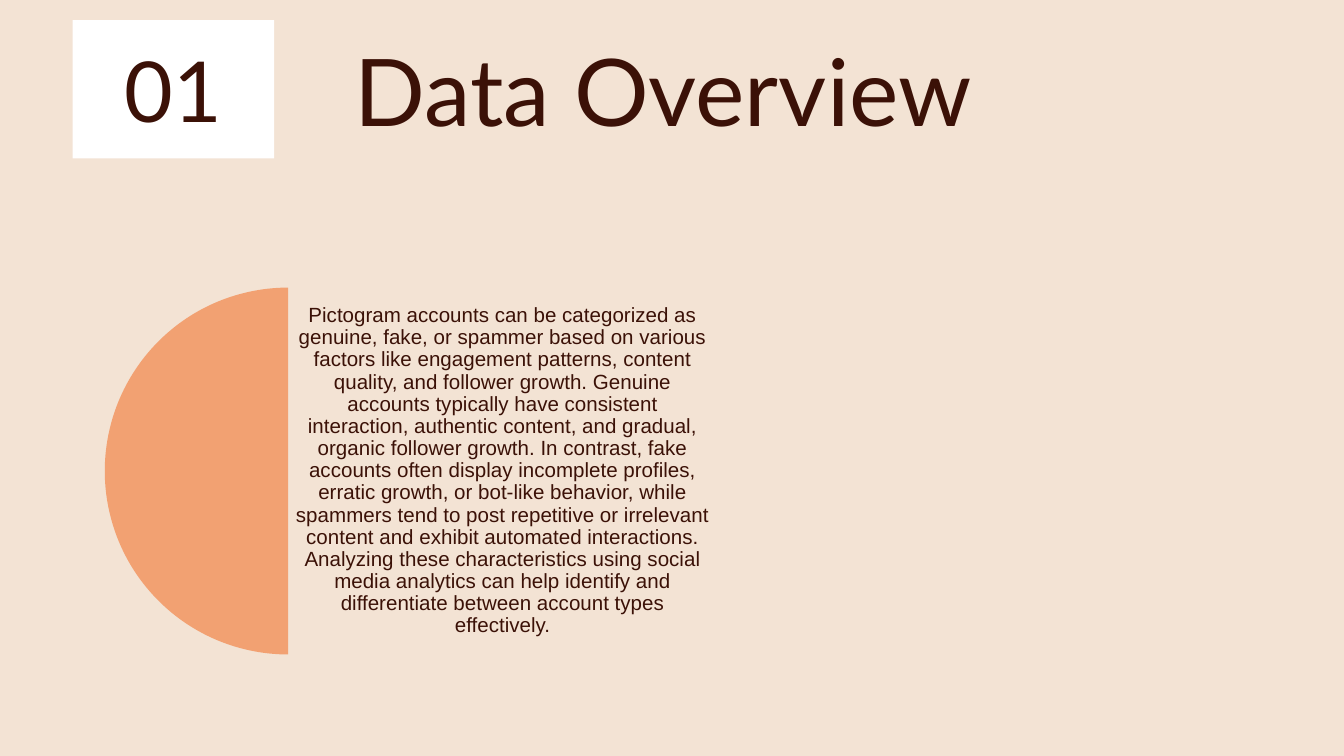
from typing import NamedTuple

from lxml.etree import SubElement
from pptx import Presentation
from pptx.dml.color import RGBColor
from pptx.enum.shapes import MSO_SHAPE
from pptx.enum.text import MSO_ANCHOR, MSO_AUTO_SIZE, PP_ALIGN
from pptx.oxml.ns import qn
from pptx.util import Inches, Pt

SAND = "F3E3D4"
BROWN = "3B1107"
BODY = (
    "Pictogram accounts can be categorized as genuine, fake, or spammer based on "
    "various factors like engagement patterns, content quality, and follower growth. "
    "Genuine accounts typically have consistent interaction, authentic content, and "
    "gradual, organic follower growth. In contrast, fake accounts often display "
    "incomplete profiles, erratic growth, or bot-like behavior, while spammers tend "
    "to post repetitive or irrelevant content and exhibit automated interactions. "
    "Analyzing these characteristics using social media analytics can help identify "
    "and differentiate between account types effectively."
)


class Box(NamedTuple):
    left: float
    top: float
    width: float
    height: float


class Style(NamedTuple):
    font: str
    size: float
    align: PP_ALIGN
    anchor: MSO_ANCHOR
    inset: float
    space: float = 1.0


HEAD = Style("Lato", 50, PP_ALIGN.LEFT, MSO_ANCHOR.BOTTOM, 0.1)
BADGE = Style("Lato", 45, PP_ALIGN.CENTER, MSO_ANCHOR.MIDDLE, 0.1)
PROSE = Style("Arial", 11, PP_ALIGN.CENTER, MSO_ANCHOR.MIDDLE, 0.05, 0.9)


def paint(color, code: str) -> None:
    color.rgb = RGBColor.from_string(code)


def place(shape, box: Box) -> None:
    shape.left, shape.top, shape.width, shape.height = map(Inches, box)


def draw(slide, kind: MSO_SHAPE, box: Box, code: str):
    shape = slide.shapes.add_shape(kind, *map(Inches, box))
    shape.shadow.inherit = False
    shape.fill.solid()
    paint(shape.fill.fore_color, code)
    shape.line.fill.background()
    return shape


def write(shape, text: str, style: Style) -> None:
    frame = shape.text_frame
    frame.text = text
    frame.word_wrap = True
    frame.auto_size = MSO_AUTO_SIZE.NONE
    frame.vertical_anchor = style.anchor
    frame.margin_left = frame.margin_right = Inches(style.inset)
    frame.margin_top = frame.margin_bottom = Inches(style.inset)
    for para in frame.paragraphs:
        para.alignment = style.align
        para.line_spacing = style.space
        for run in para.runs:
            run.font.name = style.font
            run.font.size = Pt(style.size)
            paint(run.font.color, BROWN)


def main() -> None:
    deck = Presentation()
    deck.slide_width, deck.slide_height = Inches(10), Inches(10 * 9 / 16)
    slide = deck.slides.add_slide(deck.slide_layouts[5])
    slide.background.fill.solid()
    paint(slide.background.fill.fore_color, SAND)

    title = slide.shapes.title
    place(title, Box(2.54, -0.63, 6.24, 1.81))
    write(title, "Data Overview", HEAD)

    badge = draw(slide, MSO_SHAPE.RECTANGLE, Box(0.54, 0.15, 1.5, 1.03), "FFFFFF")
    write(badge, "01", BADGE)

    disc = Box(0.78, 2.14, 2.73, 2.73)
    half = draw(slide, MSO_SHAPE.PIE, disc, "F2A172")
    half.adjustments[0] = 54
    half.adjustments[1] = 162

    area = Box(2.15, disc.top, 3.18, disc.height)
    panel = draw(slide, MSO_SHAPE.RECTANGLE, area, SAND)
    tint = panel.fill._xPr.find(f".//{qn('a:srgbClr')}")
    SubElement(tint, qn("a:alpha"), val="90000")

    prose = slide.shapes.add_textbox(*map(Inches, area))
    write(prose, BODY, PROSE)

    deck.save("out.pptx")


if __name__ == "__main__":
    main()
